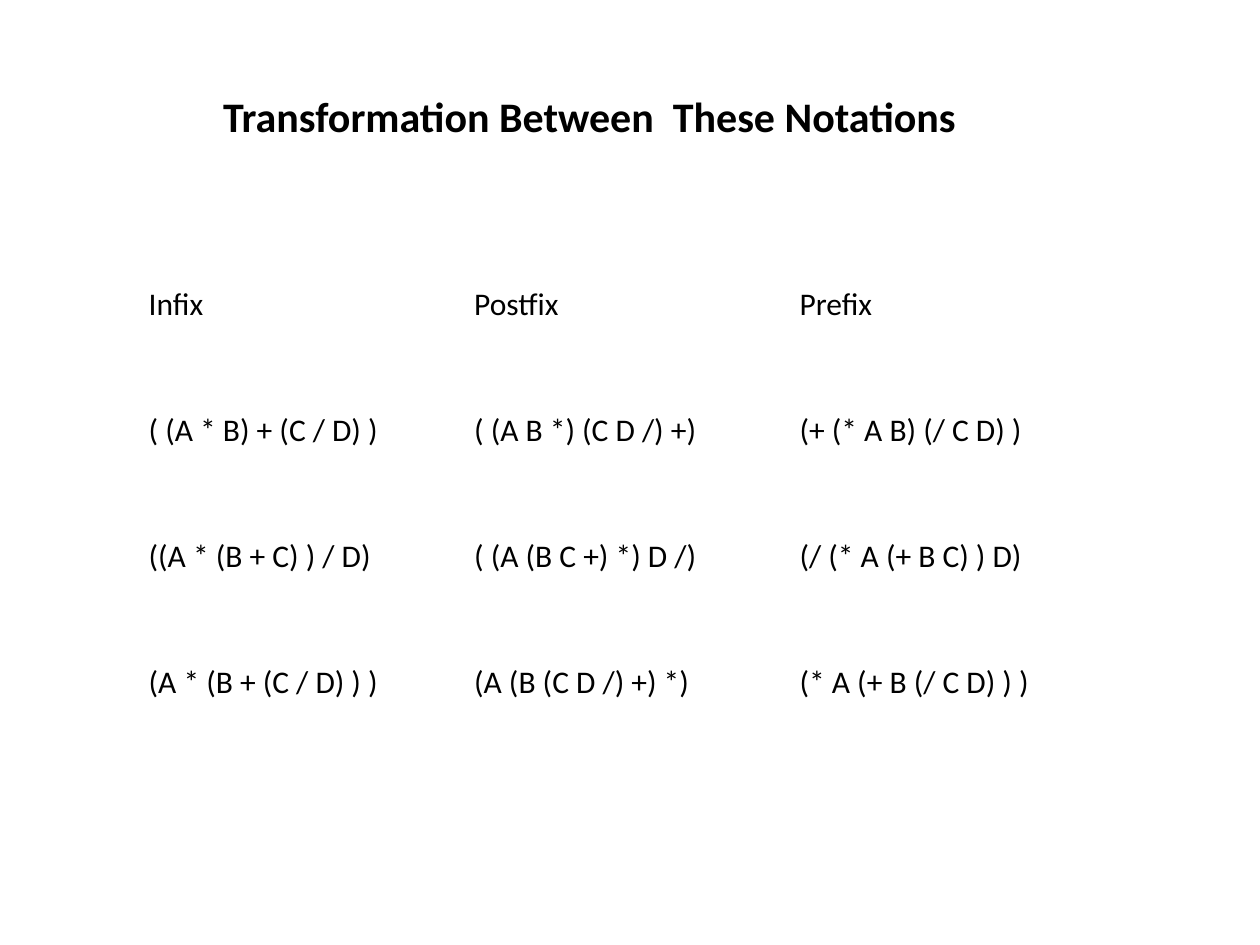
from pptx import Presentation
from pptx.dml.color import RGBColor
from pptx.enum.text import MSO_ANCHOR, MSO_AUTO_SIZE, PP_ALIGN
from pptx.util import Inches, Pt

LEFT = PP_ALIGN.LEFT
TOP, MIDDLE = MSO_ANCHOR.TOP, MSO_ANCHOR.MIDDLE
GROW = MSO_AUTO_SIZE.SHAPE_TO_FIT_TEXT

BLACK = RGBColor(0, 0, 0)
FONT = "Calibri"
TITLE_ONLY = 5

TITLE = "Transformation Between  These Notations"
NOTATIONS = [
    ("Infix", "Postfix", "Prefix"),
    ("( (A * B) + (C / D) )", "( (A B *) (C D /) +)", "(+ (* A B) (/ C D) )"),
    ("((A * (B + C) ) / D)", "( (A (B C +) *) D /)", "(/ (* A (+ B C) ) D)"),
    ("(A * (B + (C / D) ) )", "(A (B (C D /) +) *)", "(* A (+ B (/ C D) ) )"),
]
COLUMN_WIDTH = Inches(7.75 / 3)
ROW_HEIGHT = Inches(1)


def set_text(frame, text, size, bold=False):
    frame.text = text
    paragraph = frame.paragraphs[0]
    paragraph.alignment = LEFT
    font = paragraph.runs[0].font
    font.name, font.size, font.bold = FONT, Pt(size), bold
    font.color.rgb = BLACK


def place_title(slide):
    title = slide.shapes.title
    title.left, title.top = Inches(1.67), Inches(0.67)
    title.width, title.height = Inches(6.08), Inches(0.5)
    frame = title.text_frame
    set_text(frame, TITLE, 24, bold=True)
    frame.word_wrap = False
    frame.auto_size = GROW
    frame.vertical_anchor = TOP


def add_notation_table(slide):
    row_count, column_count = len(NOTATIONS), len(NOTATIONS[0])
    table = slide.shapes.add_table(
        row_count, column_count, Inches(1.08), Inches(1.92),
        COLUMN_WIDTH * column_count, ROW_HEIGHT * row_count).table
    table.first_row = table.horz_banding = False
    for row, expressions in enumerate(NOTATIONS):
        for column, expression in enumerate(expressions):
            cell = table.cell(row, column)
            cell.fill.background()
            cell.vertical_anchor = MIDDLE
            set_text(cell.text_frame, expression, 18)


def main():
    deck = Presentation()
    deck.slide_width, deck.slide_height = Inches(10), Inches(7.5)
    slide = deck.slides.add_slide(deck.slide_layouts[TITLE_ONLY])

    # Comparison of the three notations
    add_notation_table(slide)
    # Heading
    place_title(slide)

    deck.save("out.pptx")


if __name__ == "__main__":
    main()
